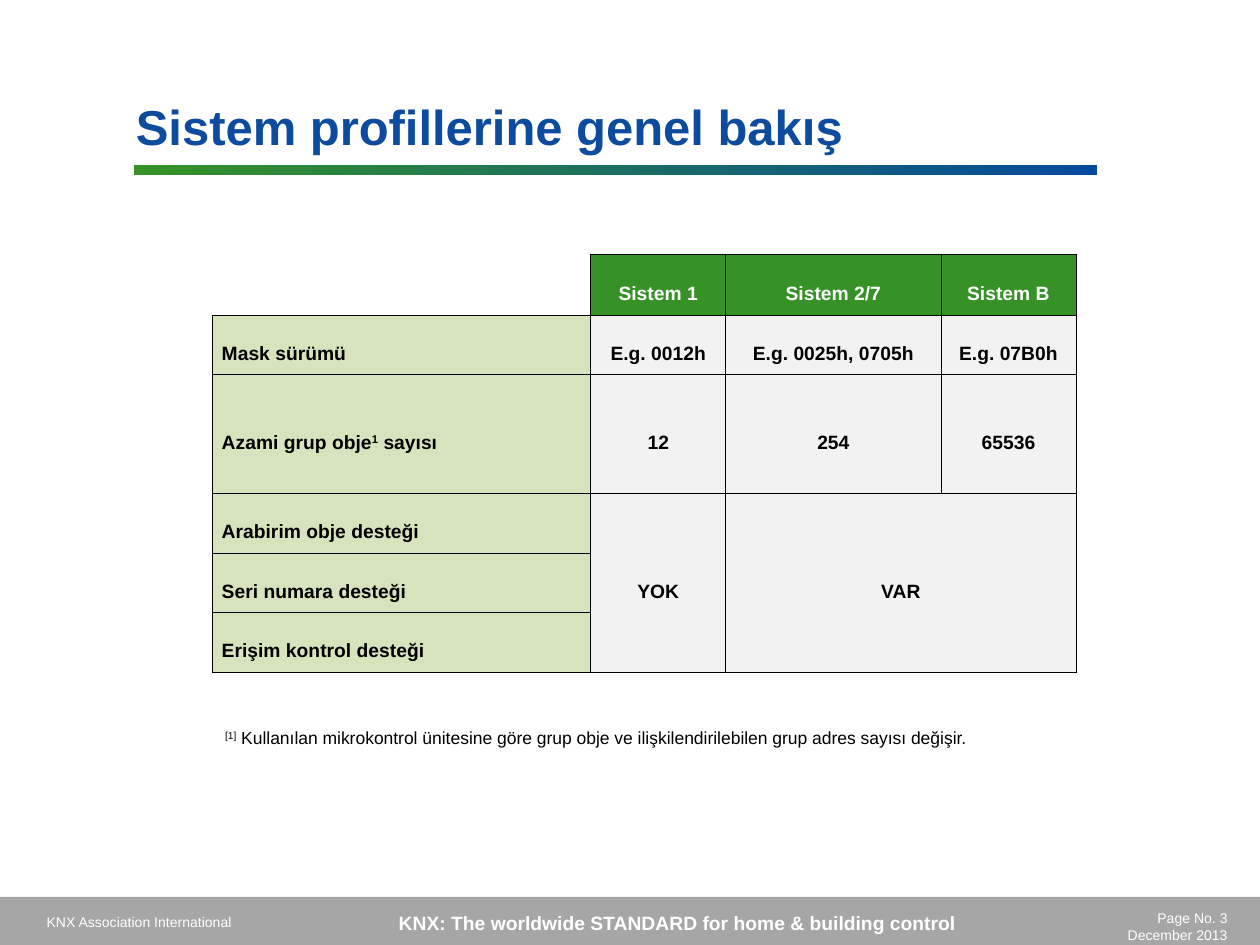
from lxml.etree import SubElement
from pptx import Presentation
from pptx.dml.color import RGBColor
from pptx.enum.shapes import MSO_SHAPE
from pptx.enum.text import MSO_ANCHOR, PP_ALIGN
from pptx.oxml.ns import qn
from pptx.util import Cm, Pt

COLORS = {
    "blue": "0C4B9D", "deep": "014B9D", "green": "369226", "pale": "D6E3BC",
    "light": "F2F2F2", "gray": "A6A6A6", "white": "FFFFFF", "black": "000000",
}


def rgb(name):
    return RGBColor.from_string(COLORS[name])


class SlideBuilder:
    font = "Arial"
    border = Pt(0.45)

    def __init__(self, s):
        self.s = s

    def bar(self, x, y, w, h, *colors):
        sp = self.s.shapes.add_shape(MSO_SHAPE.RECTANGLE, Cm(x), Cm(y), Cm(w), Cm(h))
        sp.shadow.inherit = False
        sp.line.fill.background()
        if len(colors) == 1:
            sp.fill.solid()
            sp.fill.fore_color.rgb = rgb(colors[0])
        else:
            sp.fill.gradient()
            sp.fill.gradient_angle = 0
            for stop, color in zip(sp.fill.gradient_stops, colors):
                stop.color.rgb = rgb(color)

    def add_lines(self, tf, text, size, color, bold=False, align=PP_ALIGN.LEFT, spacing=1.0):
        for i, line in enumerate(text.split("\n")):
            p = tf.paragraphs[0] if i == 0 else tf.add_paragraph()
            p.alignment = align
            p.line_spacing = spacing
            for j, part in enumerate(line.split("^")):
                if not part:
                    continue
                r = p.add_run()
                r.text = part
                style = {"name": self.font, "size": Pt(size), "bold": bold}
                for key, value in style.items():
                    setattr(r.font, key, value)
                r.font.color.rgb = rgb(color)
                if j % 2:
                    r._r.get_or_add_rPr().set("baseline", "30000")

    def text(self, x, y, w, h, text, size, color, top=0.13, **style):
        tf = self.s.shapes.add_textbox(Cm(x), Cm(y), Cm(w), Cm(h)).text_frame
        frame = {"word_wrap": True, "margin_top": Cm(top), "margin_bottom": 0}
        for key, value in frame.items():
            setattr(tf, key, value)
        self.add_lines(tf, text, size, color, **style)

    def cell(self, cell, text, fill, color, align, sides):
        tcPr = cell._tc.get_or_add_tcPr()
        for side in sides:
            ln = SubElement(tcPr, qn(f"a:ln{side}"), w=str(int(self.border)))
            solid = SubElement(ln, qn("a:solidFill"))
            SubElement(solid, qn("a:srgbClr"), val=COLORS["black"])
        cell.fill.solid()
        cell.fill.fore_color.rgb = rgb(fill)
        frame = {
            "vertical_anchor": MSO_ANCHOR.MIDDLE, "margin_left": Cm(0.18),
            "margin_right": Cm(0.18), "margin_top": Cm(0.34), "margin_bottom": Cm(0.13),
        }
        for key, value in frame.items():
            setattr(cell, key, value)
        self.add_lines(cell.text_frame, text, 11, color, True, align, 1.33)

    def table(self, x, y, widths, heights, rows, merges):
        table = self.s.shapes.add_table(
            len(heights), len(widths), Cm(x), Cm(y), Cm(sum(widths)), Cm(sum(heights))
        ).table
        table.first_row = table.horz_banding = False
        for col, width in zip(table.columns, widths):
            col.width = Cm(width)
        for row, height in zip(table.rows, heights):
            row.height = Cm(height)
        for first, last in merges:
            table.cell(*first).merge(table.cell(*last))
        for i, row in enumerate(rows):
            for j, text in enumerate(row):
                if i == 0:
                    fill, color = ("green" if j else "white"), "white"
                else:
                    fill, color = ("light" if j else "pale"), "black"
                align = PP_ALIGN.CENTER if j else PP_ALIGN.LEFT
                sides = "LRTB" if i or j else "RB"
                self.cell(table.cell(i, j), text, fill, color, align, sides)


def main():
    prs = Presentation()
    prs.slide_width, prs.slide_height = Cm(25.4), Cm(19.05)
    b = SlideBuilder(prs.slides.add_slide(prs.slide_layouts[6]))

    b.bar(0, 18.08, 25.4, 0.97, "gray")
    b.text(0.69, 18.29, 5.79, 0.61, "KNX Association International", 8, "white")
    b.text(22.1, 18.21, 2.9, 0.84, "Page No. 3\nDecember 2013", 8, "white",
           align=PP_ALIGN.RIGHT)
    b.text(4.45, 18.24, 18.42, 0.74,
           "KNX: The worldwide STANDARD for home & building control",
           11, "white", bold=True, align=PP_ALIGN.CENTER)

    b.bar(2.7, 3.33, 19.41, 0.2, "green", "deep")
    b.text(2.49, 1.73, 18.01, 1.4, "Sistem profillerine genel bakış", 28, "blue",
           top=0.22, bold=True)

    rows = [
        ["", "Sistem 1", "Sistem 2/7", "Sistem B"],
        ["Mask sürümü", "E.g. 0012h", "E.g. 0025h, 0705h", "E.g. 07B0h"],
        ["Azami grup obje^1^ sayısı", "12", "254", "65536"],
        ["Arabirim obje desteği", "YOK", "VAR", ""],
        ["Seri numara desteği", "", "", ""],
        ["Erişim kontrol desteği", "", "", ""],
    ]
    b.table(4.29, 5.12, [7.62, 2.72, 4.34, 2.72], [1.2, 1.2, 2.4, 1.2, 1.2, 1.2], rows,
            [((3, 1), (5, 1)), ((3, 2), (5, 3))])
    b.text(4.29, 14.53, 17.4, 0.69,
           "^[1]^ Kullanılan mikrokontrol ünitesine göre grup obje ve "
           "ilişkilendirilebilen grup adres sayısı değişir.", 10, "black")

    prs.save("out.pptx")


if __name__ == "__main__":
    main()
